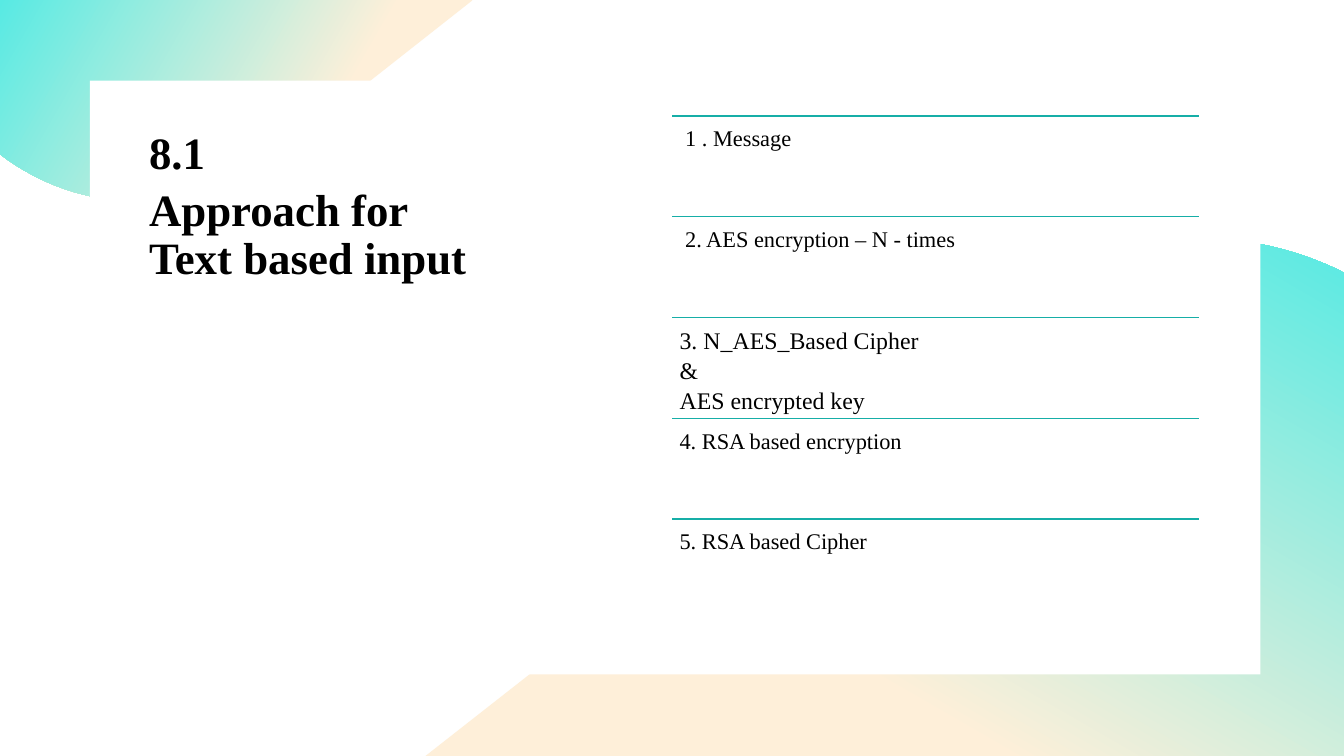
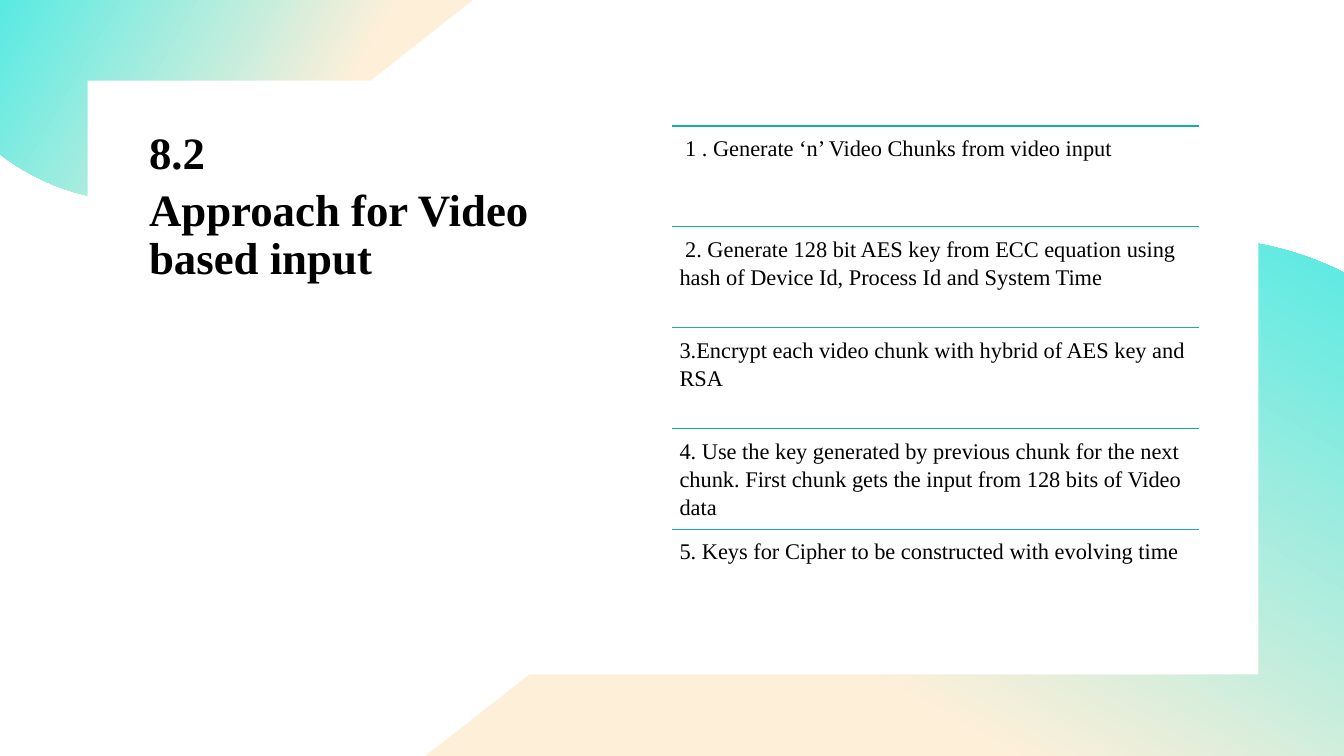
from lxml.etree import SubElement
from pptx import Presentation
from pptx.dml.color import RGBColor
from pptx.enum.shapes import MSO_CONNECTOR, MSO_SHAPE
from pptx.oxml.ns import qn
from pptx.util import Inches, Pt

WHITE = RGBColor(0xFF, 0xFF, 0xFF)
BLACK = RGBColor(0x00, 0x00, 0x00)
PEACH = RGBColor(0xFE, 0xEF, 0xD9)
AQUA = RGBColor(0x58, 0xEA, 0xE3)
TEAL = RGBColor(0x16, 0xAE, 0xA7)
FONT = "Times New Roman"

CURVE_STEPS = 16
ROW_HEIGHT = 1.0
ROW_INSET = 0.07

# Outlines in inches: a pair is a corner, three pairs are a Bézier curve.
TOP_CORNER = [
    (0, 0), (4.69, 0), (2.71, 1.56), (2.66, 1.59),
    ((2.3, 1.85), (1.88, 1.98), (1.47, 2)),
    ((1.42, 2), (1.38, 2), (1.34, 2)),
    ((0.86, 1.99), (0.39, 1.83), (0, 1.53)),
]
BOTTOM_CORNER = [
    (11.93, 2.36),
    ((12.4, 2.37), (12.86, 2.48), (13.28, 2.68)),
    (13.33, 2.71), (13.33, 7.5), (4.22, 7.5), (9.97, 2.99), (10.03, 2.94),
    ((10.55, 2.58), (11.15, 2.39), (11.74, 2.36)),
    ((11.81, 2.36), (11.87, 2.36), (11.93, 2.36)),
]

# Panel left, first row top, title lines, rows as (text, size)
SLIDES = [
    (0.89, 1.15, ["8.1", "Approach for \vText based input"], [
        (" 1 . Message", 16),
        (" 2. AES encryption – N - times", 16),
        ("3. N_AES_Based Cipher\v&\vAES encrypted key", 17),
        ("4. RSA based encryption", 16),
        ("5. RSA based Cipher", 16),
    ]),
    (0.87, 1.25, ["8.2", "Approach for Video based input"], [
        (" 1 . Generate ‘n’ Video Chunks from video input", 16),
        (" 2. Generate 128 bit AES key from ECC equation using hash of "
         "Device Id, Process Id and System Time", 16),
        ("3.Encrypt each video chunk with hybrid of AES key and RSA", 16),
        ("4. Use the key generated by previous chunk for the next chunk. "
         "First chunk gets the input from 128 bits of Video data", 16),
        ("5. Keys for Cipher to be constructed with evolving time", 16),
    ]),
]


def flatten(outline):
    """Return the outline's points, with each curve cut into short lines."""
    points = []
    for part in outline:
        if not isinstance(part[0], tuple):
            points.append(part)
            continue
        a, (b, c, d) = points[-1], part
        for i in range(1, CURVE_STEPS + 1):
            t = i / CURVE_STEPS
            u = 1 - t
            points.append(tuple(
                u**3 * a[k] + 3 * u * u * t * b[k] + 3 * u * t * t * c[k] + t**3 * d[k]
                for k in (0, 1)))
    return points


def add_corner(s, outline, angle):
    points = [(Inches(x), Inches(y)) for x, y in flatten(outline)]
    builder = s.shapes.build_freeform(*points[0])
    builder.add_line_segments(points[1:], close=True)
    sp = builder.convert_to_shape()
    sp.shadow.inherit = False
    sp.line.fill.background()
    sp.fill.gradient()
    sp.fill.gradient_angle = angle
    for stop, color, position in zip(sp.fill.gradient_stops, (PEACH, AQUA), (0.32, 1)):
        stop.color.rgb = color
        stop.position = position


def add_panel(s, x, y, w, h):
    sp = s.shapes.add_shape(MSO_SHAPE.RECTANGLE, Inches(x), Inches(y), Inches(w), Inches(h))
    sp.shadow.inherit = False
    sp.fill.solid()
    sp.fill.fore_color.rgb = WHITE
    sp.line.fill.background()


def add_text(s, x, y, w, h, lines, size, bold=False, spacing=1.0, after=0):
    tf = s.shapes.add_textbox(Inches(x), Inches(y), Inches(w), Inches(h)).text_frame
    tf.word_wrap = True
    for i, line in enumerate(lines):
        p = tf.add_paragraph() if i else tf.paragraphs[0]
        p.text = line
        p.line_spacing = spacing
        p.space_after = Pt(after)
        for r in p.runs:
            r.font.name = FONT
            r.font.size = Pt(size)
            r.font.bold = bold
            r.font.color.rgb = BLACK
    return tf


def add_rule(s, x, y, w):
    line = s.shapes.add_connector(
        MSO_CONNECTOR.STRAIGHT, Inches(x), Inches(y), Inches(x + w), Inches(y))
    line.line.color.rgb = TEAL
    line.line.width = Pt(1)
    SubElement(line._element.spPr, qn("a:effectLst"))


def add_steps(s, x, y, w, rows):
    """Stack the rows downwards, each under its own rule."""
    for i, (text, size) in enumerate(rows):
        top = y + i * ROW_HEIGHT
        add_rule(s, x, top, w)
        tf = add_text(s, x, top, w, ROW_HEIGHT, [text], size, spacing=1.05)
        tf.margin_left = tf.margin_right = Inches(ROW_INSET)
        tf.margin_top = tf.margin_bottom = Inches(ROW_INSET)


def add_approach_slide(prs, panel_left, rows_top, title, rows):
    s = prs.slides.add_slide(prs.slide_layouts[6])
    add_corner(s, TOP_CORNER, 150)
    add_corner(s, BOTTOM_CORNER, 60)
    add_panel(s, panel_left, 0.8, 11.61, 5.89)
    add_text(s, 1.38, 1.25, 4.29, 3.66, title, 32, bold=True, spacing=0.9, after=6)
    add_steps(s, 6.67, rows_top, 5.22, rows)


def main():
    prs = Presentation()
    prs.slide_width = Inches(13.33)
    prs.slide_height = Inches(7.5)
    for content in SLIDES:
        add_approach_slide(prs, *content)
    prs.save("out.pptx")


if __name__ == "__main__":
    main()
